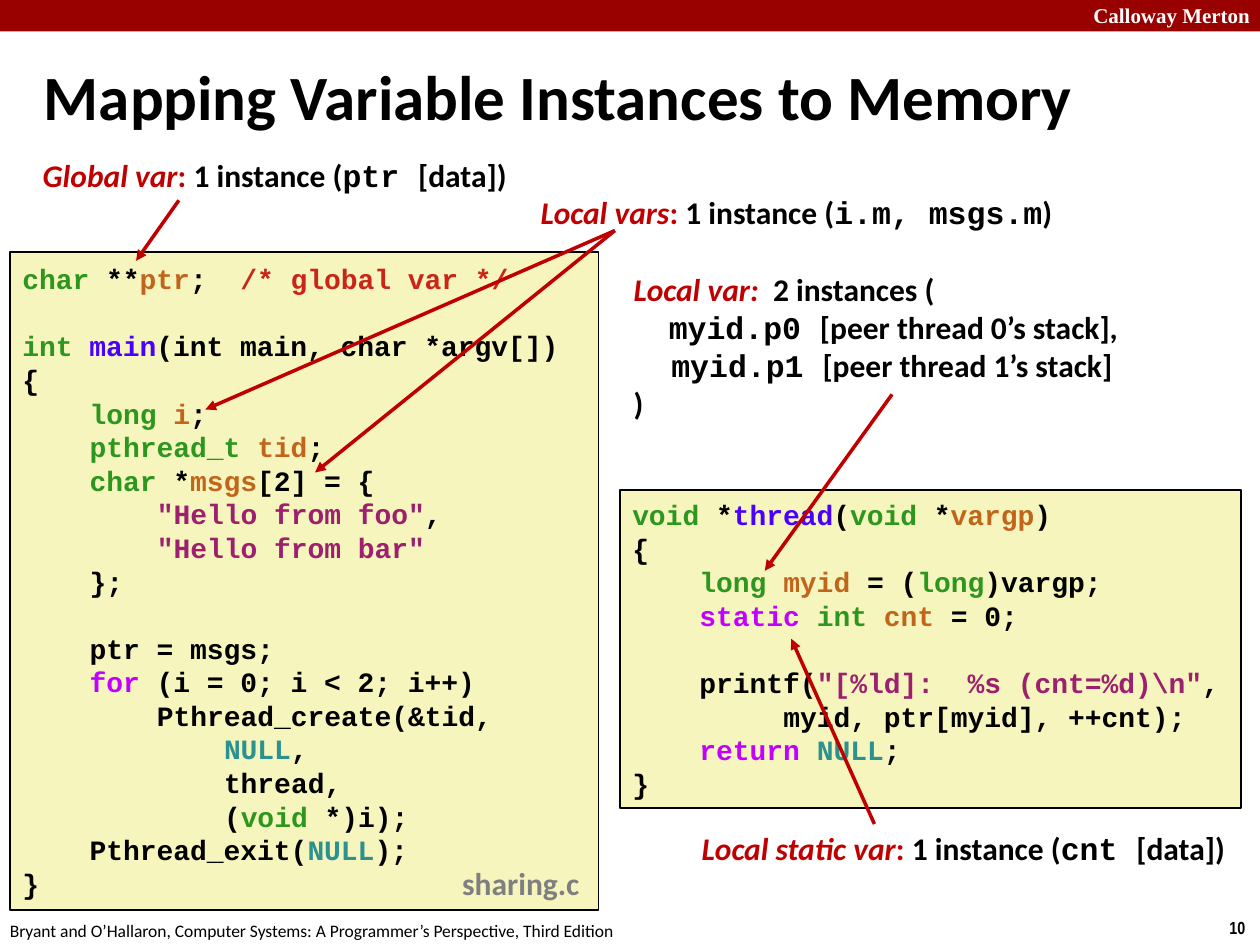
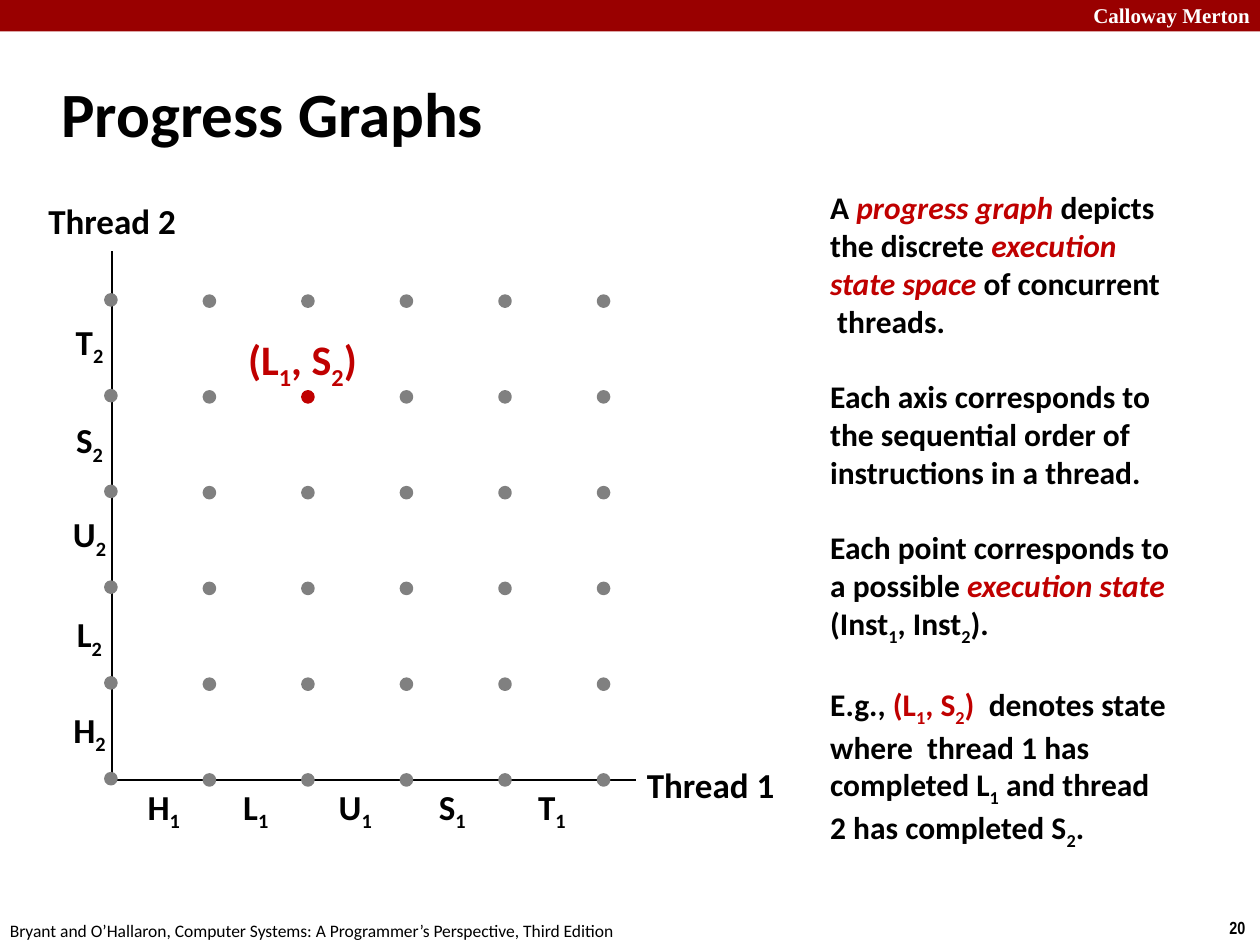
import dataclasses

import pptx
import pptx.dml.color
import pptx.enum.shapes
import pptx.enum.text
import pptx.oxml
import pptx.oxml.ns
import pptx.util
from pptx.util import Inches

RGB = pptx.dml.color.RGBColor
SHAPE = pptx.enum.shapes.MSO_SHAPE
ALIGN = pptx.enum.text.PP_ALIGN
ANCHOR = pptx.enum.text.MSO_ANCHOR

BLACK = RGB(0x00, 0x00, 0x00)
WHITE = RGB(0xFF, 0xFF, 0xFF)
BAND_RED = RGB(0x99, 0x00, 0x00)
RED = RGB(0xC0, 0x00, 0x00)
CODE_FILL = RGB(0xF6, 0xF5, 0xBD)
DOT_GRAY = RGB(0x80, 0x80, 0x80)
FILE_GRAY = RGB(0x7F, 0x7F, 0x7F)
GREEN = RGB(0x2D, 0x96, 0x1E)
ORANGE = RGB(0xC1, 0x65, 0x1C)
BRICK = RGB(0xCB, 0x24, 0x18)
BLUE = RGB(0x4A, 0x00, 0xFF)
PLUM = RGB(0x9D, 0x20, 0x6F)
VIOLET = RGB(0xC2, 0x00, 0xFF)
TEAL = RGB(0x2C, 0x92, 0x90)

# Run changes, each applied on top of the style of its text
TYPE = {"color": GREEN}
NAME = {"color": ORANGE}
COMMENT = {"color": BRICK}
FUNCTION = {"color": BLUE}
STRING = {"color": PLUM}
KEYWORD = {"color": VIOLET}
CONSTANT = {"color": TEAL}
MONO = {"font": "Courier New"}
MARKED = {"color": RED}
TERM = {"color": RED, "italic": True}
SUB = {"subscript": True}
RED_SUB = {**MARKED, **SUB}


@dataclasses.dataclass
class Style:
    size: float
    font: str = "Calibri"
    color: RGB = BLACK
    bold: bool = True
    italic: bool = False
    subscript: bool = False


CODE = Style(16, "Courier New")
NOTE = Style(18)
TITLE = Style(36)
AXIS = Style(20)
CODE_COLUMN = CODE.size * 0.6 / 72
LINE_HEIGHT = 1.2


@dataclasses.dataclass
class Line:
    runs: tuple
    indent: float = 0


def line(*runs, indent=0):
    return Line(runs, indent)


def code(columns, *runs):
    return Line(runs, columns * CODE_COLUMN)


def write(frame, lines, style, align=ALIGN.LEFT):
    """Fill a text frame; None among the lines opens a one-line gap."""
    paragraph, gap = None, False
    for entry in lines:
        if entry is None:
            gap = True
            continue
        paragraph = frame.add_paragraph() if paragraph is not None else frame.paragraphs[0]
        paragraph.alignment = align
        if gap:
            paragraph.space_before = pptx.util.Pt(style.size * LINE_HEIGHT)
            gap = False
        if entry.indent:
            paragraph._p.get_or_add_pPr().set("marL", str(Inches(entry.indent)))
        for piece in entry.runs:
            text, changes = (piece, {}) if isinstance(piece, str) else piece
            look = dataclasses.replace(style, **changes)
            run = paragraph.add_run()
            run.text = text
            run.font.name = look.font
            run.font.size = pptx.util.Pt(look.size)
            run.font.bold = look.bold
            run.font.italic = look.italic
            run.font.color.rgb = look.color
            if look.subscript:
                run._r.get_or_add_rPr().set("baseline", "-25000")


def add_text(slide, box, lines, style, align=ALIGN.LEFT, anchor=ANCHOR.MIDDLE,
             wrap=False, pad=0.05):
    frame = slide.shapes.add_textbox(*map(Inches, box)).text_frame
    frame.word_wrap = wrap
    frame.vertical_anchor = anchor
    frame.margin_top = frame.margin_bottom = Inches(pad)
    write(frame, lines, style, align)


def add_block(shapes, kind, box, fill, outline=None, width=1):
    block = shapes.add_shape(kind, *map(Inches, box))
    block.shadow.inherit = False
    block.fill.solid()
    block.fill.fore_color.rgb = fill
    if outline is None:
        block.line.fill.background()
    else:
        block.line.color.rgb = outline
        block.line.width = pptx.util.Pt(width)
    return block


def add_line(slide, start, end, color, width, arrow=False):
    link = slide.shapes.add_connector(
        pptx.enum.shapes.MSO_CONNECTOR.STRAIGHT, *map(Inches, (*start, *end)))
    link.line.color.rgb = color
    link.line.width = pptx.util.Pt(width)
    if arrow:
        head = pptx.oxml.parse_xml(
            f'<a:tailEnd {pptx.oxml.ns.nsdecls("a")} type="triangle"/>')
        link.line._get_or_add_ln().append(head)
    link._element.spPr.append(
        pptx.oxml.parse_xml(f'<a:effectLst {pptx.oxml.ns.nsdecls("a")}/>'))


def start_slide(deck, title, title_box, number):
    """Add a slide with the band, title, footer and number all slides share."""
    slide = deck.slides.add_slide(deck.slide_layouts[6])
    add_block(slide.shapes, SHAPE.RECTANGLE, (0, 0, 10, 0.25), BAND_RED)
    add_text(slide, (8.24, -0.03, 1.78, 0.3), [line("Calloway Merton")],
             Style(12, "Times New Roman", WHITE), ALIGN.RIGHT, wrap=True)
    add_text(slide, (9.66, 7.23, 0.34, 0.27), [line(number)], Style(10, "Arial Narrow"))
    add_text(slide, (-0.02, 7.25, 5.08, 0.27),
             [line("Bryant and O’Hallaron, Computer Systems: "
                   "A Programmer’s Perspective, Third Edition")],
             Style(10, bold=False))
    add_text(slide, title_box, [line(title)], TITLE, wrap=True)
    return slide


def add_code(slide, box, lines):
    panel = add_block(slide.shapes, SHAPE.RECTANGLE, box, CODE_FILL, BLACK)
    panel.text_frame.word_wrap = True
    panel.text_frame.vertical_anchor = ANCHOR.MIDDLE
    write(panel.text_frame, lines, CODE)


def add_instance_note(slide, box, kind, variables, ending):
    note = line((kind, TERM), (": ", MARKED), "1 instance (", (variables, MONO), ending)
    add_text(slide, box, [note], NOTE, ALIGN.CENTER, pad=0)


def add_mapping_slide(deck):
    slide = start_slide(deck, "Mapping Variable Instances to Memory",
                        (0.25, 0.33, 9.81, 0.85), "10")
    add_code(slide, (0.08, 2, 4.67, 5.22), [
        code(0, ("char", TYPE), " **", ("ptr", NAME), ";  ", ("/* global var */", COMMENT)),
        None,
        code(0, ("int ", TYPE), ("main", FUNCTION), "(int main, char *argv[])"),
        code(0, "{"),
        code(4, ("long ", TYPE), ("i", NAME), ";"),
        code(4, ("pthread_t ", TYPE), ("tid", NAME), ";"),
        code(4, ("char", TYPE), " *", ("msgs", NAME), "[2] = {"),
        code(8, ('"Hello from foo"', STRING), ","),
        code(8, ('"Hello from bar"', STRING)),
        code(4, "};"),
        None,
        code(4, "ptr = msgs;"),
        code(4, ("for", KEYWORD), " (i = 0; i < 2; i++)"),
        code(8, "Pthread_create(&tid,"),
        code(12, ("NULL", CONSTANT), ","),
        code(12, "thread,"),
        code(12, "(", ("void", TYPE), " *)i);"),
        code(4, "Pthread_exit(", ("NULL", CONSTANT), ");"),
        code(0, "}"),
    ])
    add_code(slide, (4.92, 3.89, 4.93, 2.52), [
        code(0, ("void", TYPE), " *", ("thread", FUNCTION), "(", ("void", TYPE), " *",
             ("vargp", NAME), ")"),
        code(0, "{"),
        code(4, ("long ", TYPE), ("myid", NAME), " = (", ("long", TYPE), ")vargp;"),
        code(4, ("static ", KEYWORD), ("int ", TYPE), ("cnt", NAME), " = 0;"),
        None,
        code(4, "printf(", ('"[%ld]:  %s (cnt=%d)\\n"', STRING), ","),
        code(9, "myid, ptr[myid], ++cnt);"),
        code(4, ("return ", KEYWORD), ("NULL", CONSTANT), ";"),
        code(0, "}"),
    ])
    add_text(slide, (3.57, 6.81, 1.14, 0.4), [line("sharing.c")],
             Style(18, color=FILE_GRAY), anchor=ANCHOR.TOP)

    add_instance_note(slide, (0.22, 1.24, 3.92, 0.3), "Global var", "ptr ", "[data])")
    add_instance_note(slide, (4.17, 1.53, 4.3, 0.3), "Local vars", "i.m, msgs.m", ")")
    add_instance_note(slide, (5.44, 6.58, 4.41, 0.3), "Local static var", "cnt ", "[data])")
    add_text(slide, (4.93, 2.14, 4.23, 1.21), [
        line(("Local var:  ", TERM), "2 instances ("),
        line(("myid.p0 ", MONO), "[peer thread 0’s stack],", indent=0.28),
        line(("myid.p1 ", MONO), "[peer thread 1’s stack]", indent=0.3),
        line(")"),
    ], NOTE, pad=0)

    local_vars = (4.88, 1.83)
    for start, end in [
        ((1.42, 1.59), (1.08, 2.07)),
        (local_vars, (1.63, 3.25)),
        (local_vars, (2.5, 3.75)),
        ((7.08, 3.13), (6.07, 4.53)),
        ((6.94, 6.54), (6.28, 5.07)),
    ]:
        add_line(slide, start, end, RED, 2, arrow=True)


def add_progress_graph(slide, left, bottom):
    """Draw axes, step labels and states; (left, bottom) is the origin."""
    add_line(slide, (left, bottom), (left + 4.16, bottom), BLACK, 1)
    add_line(slide, (left, bottom), (left, bottom - 4.2), BLACK, 1)

    def label(center_x, center_y, width, *runs):
        add_text(slide, (left + center_x - width / 2, bottom - center_y - 0.22, width, 0.44),
                 [line(*runs)], AXIS, ALIGN.CENTER)

    for step, x in zip("HLUST", (0.41, 1.14, 1.93, 2.7, 3.49)):
        label(x, -0.23, 0.48, step, ("1", SUB))
    for step, y in zip("HLUST", (0.38, 1.14, 1.93, 2.68, 3.46)):
        label(-0.18, y, 0.48, step, ("2", SUB))
    label(4.75, -0.04, 1.22, "Thread 1")
    label(0, 4.44, 1.22, "Thread 2")

    dot, states, step_x, step_y = 0.08, 6, 3.91 / 5, 0.76
    for column in range(states):
        group = slide.shapes.add_group_shape()
        first_y = bottom - (0.05 if column == 0 else 0.04)
        for row in range(states):
            color = RED if (column, row) == (2, 4) else DOT_GRAY
            box = (left - 0.05 + column * step_x, first_y - row * step_y, dot, dot)
            add_block(group.shapes, SHAPE.OVAL, box, color, color, 2)

    add_text(slide, (left + 0.98, bottom - 3.59, 1.18, 0.5),
             [line("(L", ("1", SUB), ", S", ("2", SUB), ")")],
             Style(24, color=RED), anchor=ANCHOR.TOP)


def add_progress_slide(deck):
    slide = start_slide(deck, "Progress Graphs", (0.39, 0.48, 8.3, 0.83), "20")
    add_text(slide, (6.49, 1.5, 2.91, 5.25), [
        line("A ", ("progress graph ", TERM), "depicts"),
        line("the discrete ", ("execution", TERM)),
        line(("state space", TERM), " of concurrent"),
        line(" threads."),
        None,
        line("Each axis corresponds to"),
        line("the sequential order of"),
        line("instructions in a thread."),
        None,
        line("Each point corresponds to"),
        line("a possible ", ("execution state", TERM)),
        line("(Inst", ("1", SUB), ", Inst", ("2", SUB), ")."),
        None,
        line("E.g., ", ("(L", MARKED), ("1", RED_SUB), (", S", MARKED), ("2", RED_SUB),
             (")  ", MARKED), "denotes state"),
        line("where  thread 1 has"),
        line("completed L", ("1", SUB), " and thread"),
        line("2 has completed S", ("2", SUB), "."),
    ], NOTE)
    add_progress_graph(slide, 0.89, 6.19)


def main():
    deck = pptx.Presentation()
    deck.slide_width, deck.slide_height = Inches(10), Inches(7.5)
    add_mapping_slide(deck)
    add_progress_slide(deck)
    deck.save("out.pptx")


if __name__ == "__main__":
    main()
